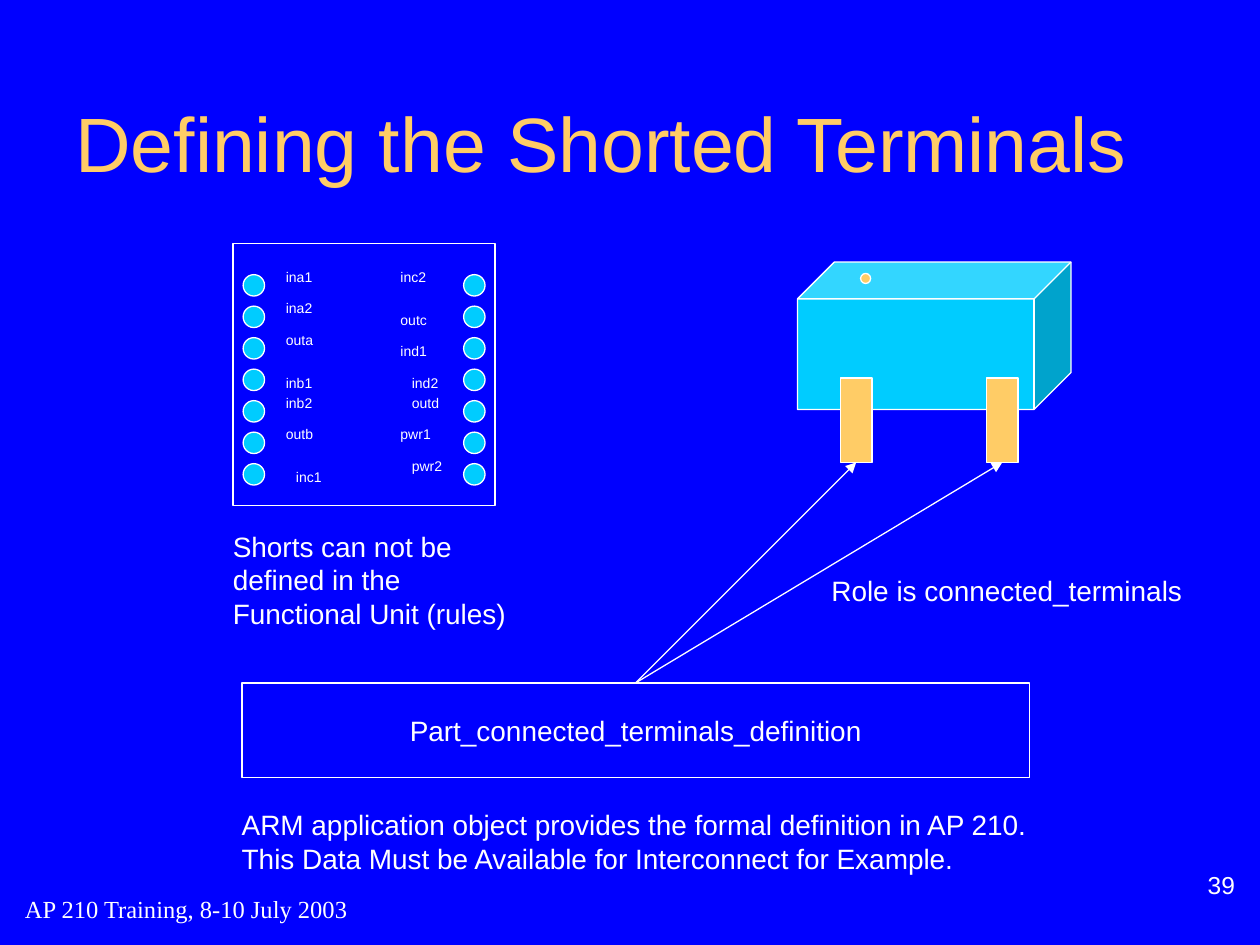
from dataclasses import dataclass

from lxml.etree import SubElement
from pptx import Presentation
from pptx.dml.color import RGBColor
from pptx.enum.shapes import MSO_CONNECTOR, MSO_SHAPE
from pptx.enum.text import MSO_ANCHOR, MSO_AUTO_SIZE, PP_ALIGN
from pptx.oxml.ns import qn
from pptx.shapes.autoshape import Shape
from pptx.slide import Slide
from pptx.util import Inches, Pt

BLUE = RGBColor(0x00, 0x00, 0xFF)
CYAN = RGBColor(0x00, 0xCC, 0xFF)
GOLD = RGBColor(0xFF, 0xCC, 0x66)
WHITE = RGBColor(0xFF, 0xFF, 0xFF)
LINE_WIDTH = Pt(0.75)

PIN_COLUMNS = (3.68, 1.93)
PIN_COUNT, PIN_TOP, PIN_PITCH, PIN_SIZE = 7, 2.18, 0.25, 0.17
LABEL_HEIGHT = 0.24


@dataclass(frozen=True)
class Area:
    left: float
    top: float
    width: float
    height: float

    def lengths(self) -> tuple:
        return tuple(Inches(v) for v in (self.left, self.top, self.width, self.height))


@dataclass(frozen=True)
class PinLabel:
    text: str
    left: float
    top: float
    width: float = 0.42


PIN_LABELS = (
    PinLabel("ina1", 2.17, 2.08),
    PinLabel("ina2", 2.17, 2.33),
    PinLabel("outa", 2.17, 2.58),
    PinLabel("inb1", 2.17, 2.92),
    PinLabel("inb2", 2.17, 3.08),
    PinLabel("outb", 2.17, 3.33),
    PinLabel("inc1", 2.25, 3.67),
    PinLabel("inc2", 3.08, 2.08),
    PinLabel("outc", 3.08, 2.42),
    PinLabel("ind1", 3.08, 2.67),
    PinLabel("ind2", 3.17, 2.92),
    PinLabel("outd", 3.17, 3.08),
    PinLabel("pwr1", 3.08, 3.33, 0.46),
    PinLabel("pwr2", 3.17, 3.58, 0.46),
)


def write_text(box: Shape, text: str, *, size: float = 16, font: str = "Arial",
               color: RGBColor = WHITE, align: PP_ALIGN = PP_ALIGN.LEFT,
               anchor: MSO_ANCHOR = MSO_ANCHOR.TOP, wrap: bool = True,
               grow: bool = False) -> None:
    """Fill a shape with text, one paragraph for each line."""
    frame = box.text_frame
    frame.text = text
    frame.word_wrap = wrap
    frame.vertical_anchor = anchor
    frame.auto_size = MSO_AUTO_SIZE.SHAPE_TO_FIT_TEXT if grow else MSO_AUTO_SIZE.NONE
    for para in frame.paragraphs:
        para.alignment = align
        for span in para.runs:
            span.font.size = Pt(size)
            span.font.name = font
            span.font.color.rgb = color


def add_text(page: Slide, area: Area, text: str, **text_format) -> Shape:
    box = page.shapes.add_textbox(*area.lengths())
    write_text(box, text, **text_format)
    return box


def add_outlined(page: Slide, kind: MSO_SHAPE, area: Area,
                 fill: RGBColor | None = None) -> Shape:
    """Add a white-edged shape, hollow when no fill is given."""
    shape = page.shapes.add_shape(kind, *area.lengths())
    shape.shadow.inherit = False
    if fill is None:
        shape.fill.background()
    else:
        shape.fill.solid()
        shape.fill.fore_color.rgb = fill
    shape.line.color.rgb = WHITE
    shape.line.width = LINE_WIDTH
    return shape


def add_arrow(page: Slide, source: Shape, target: Shape) -> None:
    """Join the top of the source to the bottom of the target."""
    arrow = page.shapes.add_connector(MSO_CONNECTOR.STRAIGHT, 0, 0, 0, 0)
    arrow.begin_connect(source, 0)
    arrow.end_connect(target, 2)
    arrow.line.color.rgb = WHITE
    arrow.line.width = LINE_WIDTH
    SubElement(arrow.line._get_or_add_ln(), qn("a:tailEnd"), type="triangle")
    SubElement(arrow._element.spPr, qn("a:effectLst"))


def add_component(page: Slide) -> list[Shape]:
    """Draw the packaged part and return its two leads, left one first."""
    body = add_outlined(page, MSO_SHAPE.CUBE, Area(6.33, 2.08, 2.17, 1.17), CYAN)
    body.adjustments[0] = 0.25
    leads = [add_outlined(page, MSO_SHAPE.RECTANGLE, Area(left, 3, 0.25, 0.67), GOLD)
             for left in (6.67, 7.83)]
    add_outlined(page, MSO_SHAPE.OVAL, Area(6.83, 2.17, 0.08, 0.08), GOLD)
    return leads


def add_functional_unit(page: Slide) -> None:
    add_outlined(page, MSO_SHAPE.RECTANGLE, Area(1.85, 1.93, 2.08, 2.08))
    for left in PIN_COLUMNS:
        for row in range(PIN_COUNT):
            top = PIN_TOP + row * PIN_PITCH
            add_outlined(page, MSO_SHAPE.OVAL, Area(left, top, PIN_SIZE, PIN_SIZE), CYAN)
    for label in PIN_LABELS:
        area = Area(label.left, label.top, label.width, LABEL_HEIGHT)
        add_text(page, area, label.text, size=8, wrap=False, grow=True)


def main() -> None:
    deck = Presentation()
    deck.slide_width, deck.slide_height = Inches(10), Inches(7.5)
    page = deck.slides.add_slide(deck.slide_layouts[6])
    page.background.fill.solid()
    page.background.fill.fore_color.rgb = BLUE

    add_text(page, Area(0.5, 0.5, 9, 1.25), "Defining the Shorted Terminals",
             size=44, color=GOLD, anchor=MSO_ANCHOR.MIDDLE)
    leads = add_component(page)
    add_functional_unit(page)

    definition = add_outlined(page, MSO_SHAPE.RECTANGLE, Area(1.92, 5.42, 6.25, 0.75))
    write_text(definition, "Part_connected_terminals_definition",
               align=PP_ALIGN.CENTER, anchor=MSO_ANCHOR.MIDDLE, wrap=False)
    for lead in leads:
        add_arrow(page, definition, lead)

    add_text(page, Area(1.82, 6.36, 6.52, 0.64),
             "ARM application object provides the formal definition in AP 210.\n"
             "This Data Must be Available for Interconnect for Example.", grow=True)
    add_text(page, Area(6.5, 4.5, 3.02, 0.37), "Role is connected_terminals",
             wrap=False, grow=True)
    add_text(page, Area(1.75, 4.15, 2.5, 0.9),
             "Shorts can not be defined in the Functional Unit (rules)", grow=True)
    add_text(page, Area(0.1, 6.96, 4.67, 0.5), "AP 210 Training, 8-10 July 2003",
             size=14, font="Times New Roman", anchor=MSO_ANCHOR.MIDDLE)
    number = add_text(page, Area(7.85, 6.72, 2.05, 0.42), "39", size=14,
                      align=PP_ALIGN.RIGHT, anchor=MSO_ANCHOR.BOTTOM)
    number.text_frame.margin_top = number.text_frame.margin_bottom = 0

    deck.save("out.pptx")


if __name__ == "__main__":
    main()
